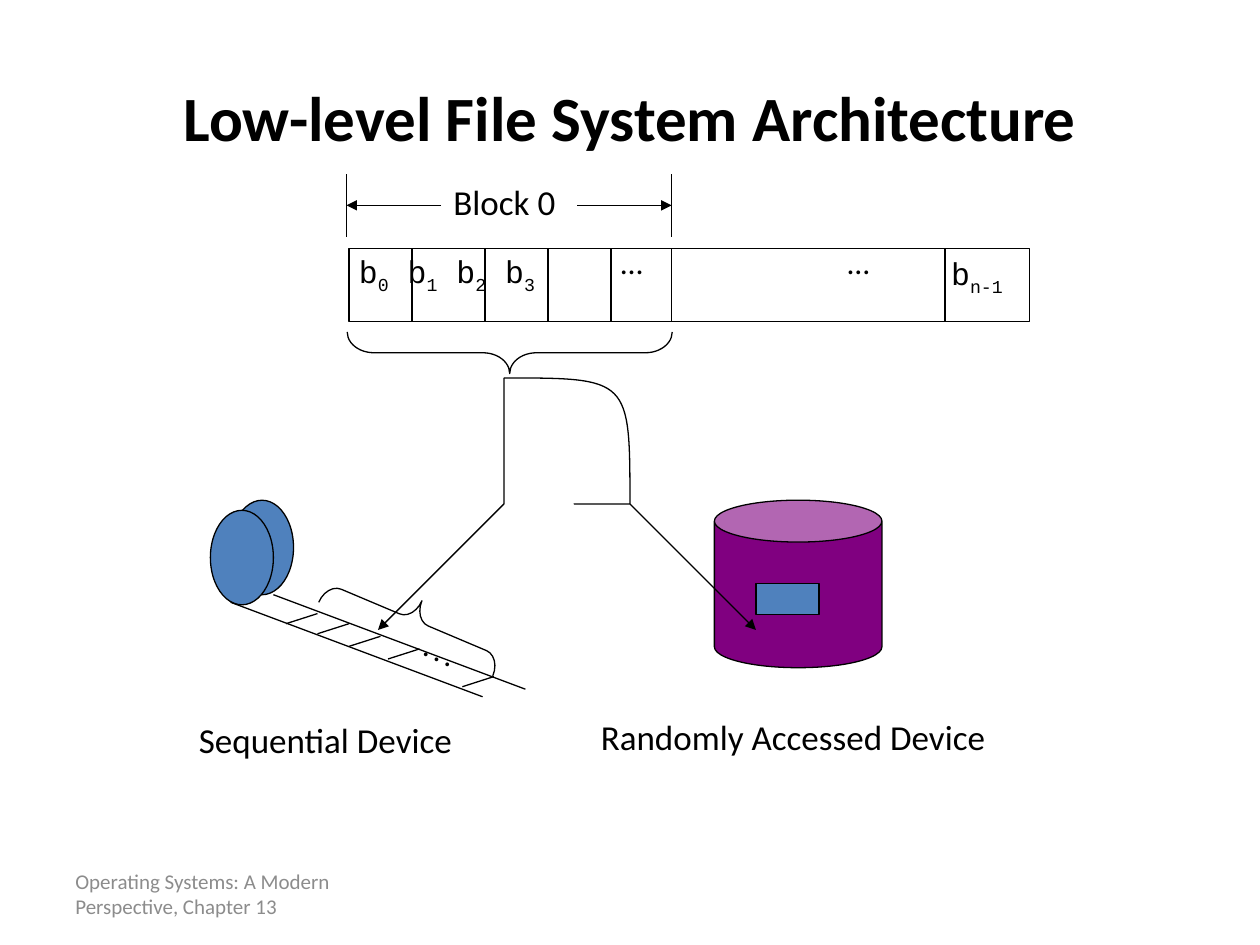
from lxml import etree
from pptx import Presentation
from pptx.dml.color import RGBColor
from pptx.enum.shapes import MSO_CONNECTOR, MSO_SHAPE
from pptx.enum.text import MSO_ANCHOR, MSO_AUTO_SIZE, PP_ALIGN
from pptx.oxml.ns import qn
from pptx.util import Inches, Pt

STRAIGHT = MSO_CONNECTOR.STRAIGHT
RECTANGLE, ELLIPSE = MSO_SHAPE.RECTANGLE, MSO_SHAPE.OVAL
BRACE, CAN = MSO_SHAPE.RIGHT_BRACE, MSO_SHAPE.CAN
TOP, MIDDLE = MSO_ANCHOR.TOP, MSO_ANCHOR.MIDDLE
LEFT, CENTER = PP_ALIGN.LEFT, PP_ALIGN.CENTER
GROW, FIXED = MSO_AUTO_SIZE.SHAPE_TO_FIT_TEXT, MSO_AUTO_SIZE.NONE
BLACK, GRAY, BLUE, PURPLE = "000000", "8C8C8C", "4F81BD", "800080"
SANS, MONO = "Calibri", "Courier New"


def color(value):
    return RGBColor.from_string(value)


def write(box, content, size=18, font=SANS, ink=BLACK, bold=False,
          align=LEFT, anchor=TOP, wrap=False):
    """Fill a box; content is a string or a list of (text, is_subscript)."""
    frame = box.text_frame
    frame.word_wrap = wrap
    frame.auto_size = FIXED if wrap else GROW
    frame.vertical_anchor = anchor
    para = frame.paragraphs[0]
    para.alignment = align
    spans = [(content, False)] if isinstance(content, str) else content
    for text, subscript in spans:
        span = para.add_run()
        span.text = text
        span.font.size = Pt(size)
        span.font.name = font
        span.font.bold = bold
        span.font.color.rgb = color(ink)
        if subscript:
            span.font._element.set("baseline", "-25000")


class Sketch:
    def __init__(self, page, ink=BLACK, weight=0.75):
        self.page, self.ink, self.weight = page, ink, weight

    def outline(self, item, arrow=False):
        item.line.color.rgb = color(self.ink)
        item.line.width = Pt(self.weight)
        if arrow:
            etree.SubElement(item.line._get_or_add_ln(), qn("a:tailEnd"), type="triangle")

    def text(self, left, top, width, height, content, **style):
        box = self.page.shapes.add_textbox(*map(Inches, (left, top, width, height)))
        write(box, content, **style)

    def shape(self, kind, left, top, width, height, fill=None, rotation=0, adjust=()):
        item = self.page.shapes.add_shape(kind, *map(Inches, (left, top, width, height)))
        item.shadow.inherit = False
        item.rotation = rotation
        for index, value in enumerate(adjust):
            item.adjustments[index] = value
        if fill:
            item.fill.solid()
            item.fill.fore_color.rgb = color(fill)
        else:
            item.fill.background()
        self.outline(item)

    def line(self, x1, y1, x2, y2, arrow=False):
        item = self.page.shapes.add_connector(STRAIGHT, *map(Inches, (x1, y1, x2, y2)))
        etree.SubElement(item._element.spPr, qn("a:effectLst"))
        self.outline(item, arrow)

    def curve(self, start, points):
        """Draw an arrow through cubic segments, three points to a segment."""
        builder = self.page.shapes.build_freeform(*start, scale=Inches(1))
        builder.add_line_segments(points, close=False)
        item = builder.convert_to_shape()
        steps = list(item._element.iter(qn("a:lnTo")))
        for index in range(0, len(steps), 3):
            cubic = etree.Element(qn("a:cubicBezTo"))
            steps[index].addprevious(cubic)
            for step in steps[index:index + 3]:
                cubic.append(step[0])
                step.getparent().remove(step)
        item.shadow.inherit = False
        item.fill.background()
        self.outline(item, arrow=True)


def main():
    deck = Presentation()
    deck.slide_width, deck.slide_height = Inches(10), Inches(7.5)
    sketch = Sketch(deck.slides.add_slide(deck.slide_layouts[6]))

    # Title and footer
    sketch.text(0.5, 6.83, 2.33, 0.52, "Operating Systems: A Modern Perspective, Chapter 13",
                size=12, ink=GRAY, anchor=MIDDLE, wrap=True)
    sketch.text(0.5, 0.3, 9, 1.25, "Low-level File System Architecture",
                size=36, bold=True, align=CENTER, anchor=MIDDLE, wrap=True)

    # Row of bytes
    labels = []
    for number in range(4):
        labels += [(" b" if number else "b", False), (str(number), True)]
    sketch.text(2.75, 1.95, 2.22, 0.5, labels, font=MONO)
    sketch.text(7.45, 1.97, 0.89, 0.5, [("b", False), ("n-1", True)], font=MONO)
    for left in (4.83, 6.63):
        sketch.text(left, 1.88, 0.53, 0.5, "…")
    row_top, row_height = 1.97, 0.58
    sketch.shape(RECTANGLE, 2.77, row_top, 5.4, row_height)
    for x in (3.27, 3.85, 4.35, 4.85, 5.33, 7.5):
        sketch.line(x, row_top, x, row_top + row_height)

    # Extent of block 0
    sketch.text(3.5, 1.38, 1.07, 0.43, "Block 0", size=20)
    for inner, edge in ((3.5, 2.75), (4.58, 5.33)):
        sketch.line(edge, 1.88, edge, 1.38)
        sketch.line(inner, 1.63, edge, 1.63, arrow=True)
    sketch.shape(BRACE, 3.88, 1.51, 0.33, 2.58, rotation=90, adjust=(0.646, 0.5))

    # Sequential device: reels and tape
    for left, top in ((1.83, 3.97), (1.67, 4.05)):
        sketch.shape(ELLIPSE, left, top, 0.5, 0.75, fill=BLUE)
    for x, y in ((2.17, 4.72), (1.83, 4.78)):
        sketch.line(x, y, x + 2, y + 0.75)
    for x, y in ((2.27, 4.95), (2.52, 5.03), (2.77, 5.13), (3.08, 5.23), (3.67, 5.45)):
        sketch.line(x, y, x + 0.25, y - 0.08)
    for step in range(3):
        sketch.text(3.25 + 0.085 * step, 4.91 + 0.04 * step, 0.28, 0.5, ".")
    sketch.shape(BRACE, 3.12, 4.17, 0.33, 1.5, rotation=292.9, adjust=(0.375, 0.5))

    # Randomly accessed device: disk and block
    sketch.shape(CAN, 5.67, 3.97, 1.33, 1.33, fill=PURPLE, adjust=(0.25,))
    sketch.shape(RECTANGLE, 6, 4.63, 0.5, 0.25, fill=BLUE)

    # Arrows from block 0 to the devices
    source = (4.08, 2.97)
    sketch.curve(source, [(3.83, 3.29), (3.57, 3.61), (3.58, 3.72),
                          (3.6, 3.83), (4.21, 3.45), (4.17, 3.63),
                          (4.12, 3.81), (3.73, 4.31), (3.33, 4.8)])
    sketch.curve(source, [(4.58, 3.19), (5.08, 3.41), (5.17, 3.55),
                          (5.25, 3.69), (4.44, 3.62), (4.58, 3.8),
                          (4.72, 3.98), (5.36, 4.31), (6, 4.63)])

    # Device captions
    sketch.text(1.48, 5.65, 2.23, 0.43, "Sequential Device", size=20)
    sketch.text(4.67, 5.63, 3.33, 0.43, "Randomly Accessed Device", size=20)

    deck.save("out.pptx")


if __name__ == "__main__":
    main()
